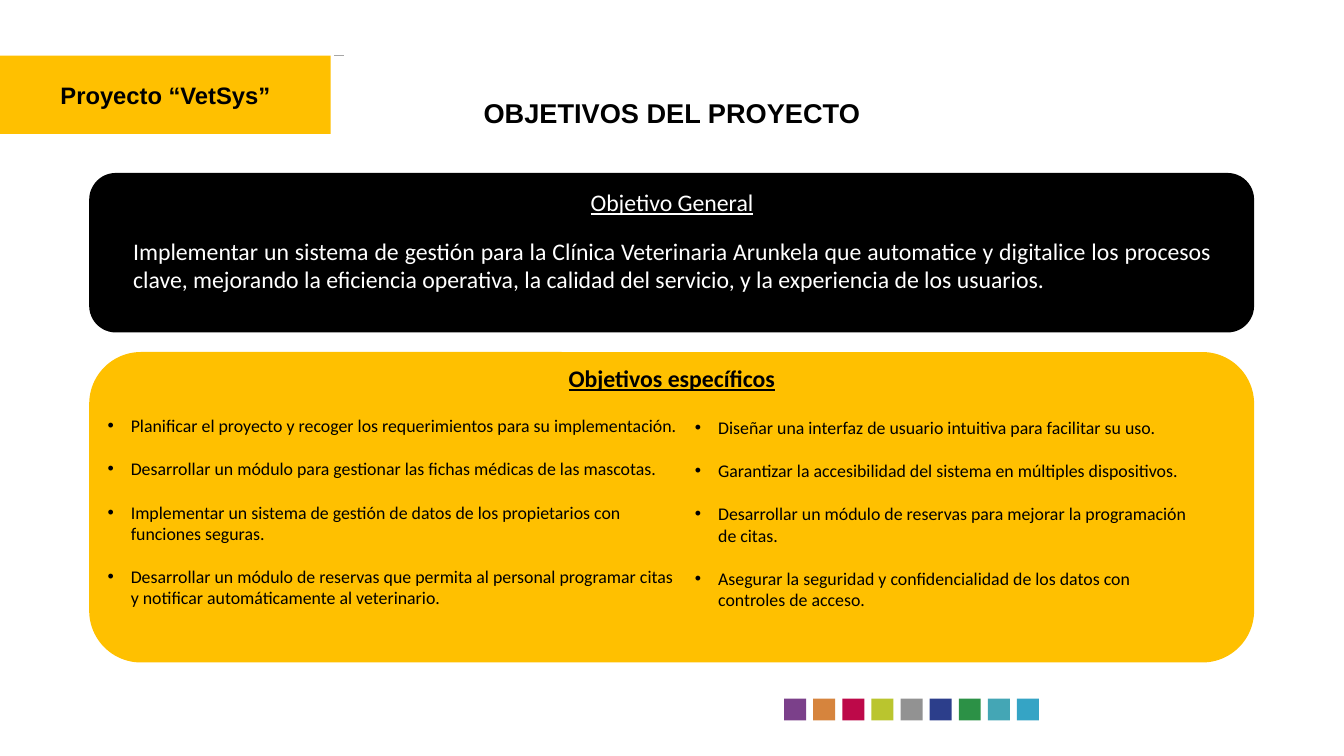
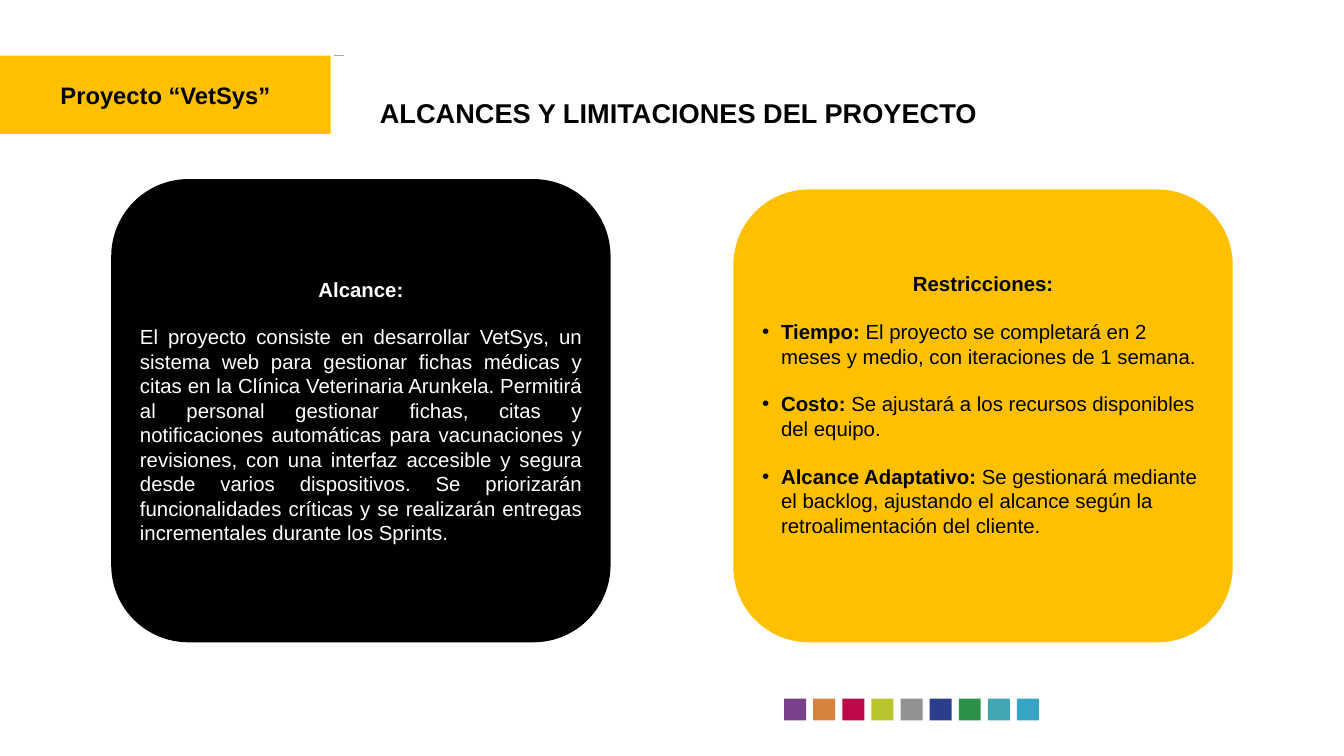
from dataclasses import dataclass

from lxml import etree
from pptx import Presentation
from pptx.dml.color import RGBColor
from pptx.enum import shapes, text
from pptx.oxml import ns
from pptx.util import Inches, Pt

ALIGN = text.PP_ALIGN
ANCHOR = text.MSO_ANCHOR


@dataclass(frozen=True)
class Theme:
    black: str = "000000"
    white: str = "FFFFFF"
    amber: str = "FFC000"
    hairline: str = "A6A6A6"
    swatches: tuple = ("7B408A", "D6843D", "BD0949", "BAC52E", "929292",
                       "2C3E8B", "2C9146", "44A6B5", "35A4C5")
    sans: str = "Arial"
    text_font: str = "Calibri"
    title: int = 32
    heading: int = 28
    card: int = 24
    items: int = 21
    card_gap: float = 27.6
    items_gap: float = 25.6


T = Theme()


@dataclass(frozen=True)
class Style:
    font: str
    size: int
    color: str
    bold: bool = False
    underline: bool = False


@dataclass(frozen=True)
class Para:
    runs: list
    align: ALIGN = ALIGN.LEFT
    before: float = 0
    indent: float = 0


def place(sp, x, y, w, h):
    sp.left, sp.top, sp.width, sp.height = map(Inches, (x, y, w, h))


def set_bullet(p, indent):
    pPr = p._p.get_or_add_pPr()
    pPr.set("marL", str(Inches(indent)))
    pPr.set("indent", str(-Inches(indent)))
    if indent:
        font = etree.SubElement(pPr, ns.qn("a:buFont"))
        font.set("typeface", T.sans)
        etree.SubElement(pPr, ns.qn("a:buChar")).set("char", "•")
    else:
        etree.SubElement(pPr, ns.qn("a:buNone"))


def write(sp, paras, anchor=ANCHOR.TOP):
    tf = sp.text_frame
    tf.word_wrap = True
    tf.auto_size = text.MSO_AUTO_SIZE.NONE
    tf.vertical_anchor = anchor
    for i, para in enumerate(paras):
        p = tf.paragraphs[0] if i == 0 else tf.add_paragraph()
        set_bullet(p, para.indent)
        p.alignment = para.align
        p.space_before = Pt(para.before)
        for content, style in para.runs:
            r = p.add_run()
            r.text = content
            r.font.name = style.font
            r.font.size = Pt(style.size)
            r.font.bold = style.bold
            r.font.underline = style.underline
            r.font.color.rgb = RGBColor.from_string(style.color)


def block(slide, kind, box, fill):
    sp = slide.shapes.add_shape(kind, *map(Inches, box))
    sp.shadow.inherit = False
    sp.fill.solid()
    sp.fill.fore_color.rgb = RGBColor.from_string(fill)
    sp.line.fill.background()
    return sp


def card(slide, box, fill):
    return block(slide, shapes.MSO_SHAPE.ROUNDED_RECTANGLE, box, fill)


def text_box(slide, box, paras):
    write(slide.shapes.add_textbox(*map(Inches, box)), paras)


def body(slide, idx, box, paras, anchor=ANCHOR.TOP):
    sp = slide.placeholders[idx]
    place(sp, *box)
    write(sp, paras, anchor)
    sp.element.getparent().append(sp.element)


def project_tag(slide, x, y, w, h):
    sp = block(slide, shapes.MSO_SHAPE.RECTANGLE, (x, y, w, h), T.amber)
    style = Style(T.sans, T.heading, T.black, bold=True)
    write(sp, [Para([("Proyecto “VetSys”", style)], ALIGN.CENTER)], ANCHOR.MIDDLE)
    start = x + w + 0.06
    line = slide.shapes.add_connector(
        shapes.MSO_CONNECTOR.STRAIGHT,
        *map(Inches, (start, y, start + 0.16, y)))
    line.line.width = Pt(0.5)
    line.line.color.rgb = RGBColor.from_string(T.hairline)
    etree.SubElement(line.element.spPr, ns.qn("a:effectLst"))


def swatch_row(slide, x, y, w, size):
    pitch = (w - size) / (len(T.swatches) - 1)
    for i, color in enumerate(T.swatches):
        block(slide, shapes.MSO_SHAPE.RECTANGLE,
              (x + i * pitch, y, size, size), color)


def new_slide(prs, title, align):
    slide = prs.slides.add_slide(prs.slide_layouts[3])
    project_tag(slide, 0, 0.91, 5.41, 1.28)
    swatch_row(slide, 12.83, 11.43, 4.17, 0.36)
    sp = slide.shapes.title
    place(sp, 5.9, 1.53, 10.19, 0.64)
    style = Style(T.sans, T.title, T.black, bold=True)
    write(sp, [Para([(title, style)], align)])
    return slide


def general_goal(slide, x, y, w, h):
    card(slide, (x, y, w, h), T.black)
    head = Style(T.text_font, T.heading, T.white, underline=True)
    plain = Style(T.text_font, T.heading, T.white)
    text_box(slide, (x + 0.62, y + 0.2, w - 1.23, h - 0.4), [
        Para([("Objetivo General", head)], ALIGN.CENTER),
        Para([("Implementar un sistema de gestión para la Clínica Veterinaria "
               "Arunkela que automatice y digitalice los procesos clave, "
               "mejorando la eficiencia operativa, la calidad del servicio, y "
               "la experiencia de los usuarios.", plain)],
             ALIGN.JUSTIFY, before=23),
    ])


def specific_goals(slide, x, y, w, h):
    card(slide, (x, y, w, h), T.amber)
    head = Style(T.text_font, T.heading, T.black, bold=True, underline=True)
    text_box(slide, (x + 3.48, y + 0.14, w - 6.96, 0.57),
             [Para([("Objetivos específicos", head)], ALIGN.CENTER)])
    plain = Style(T.text_font, T.items, T.black)
    columns = [
        (1, (x + 0.2, y + 0.98, 9.58, 3.64), [
            "Planificar el proyecto y recoger los requerimientos para su "
            "implementación.",
            "Desarrollar un módulo para gestionar las fichas médicas de las "
            "mascotas.",
            "Implementar un sistema de gestión de datos de los propietarios "
            "con funciones seguras.",
            "Desarrollar un módulo de reservas que permita al personal "
            "programar citas y notificar automáticamente al veterinario.",
        ]),
        (2, (x + 9.81, y + 1.01, 8.39, 3.64), [
            "Diseñar una interfaz de usuario intuitiva para facilitar su uso.",
            "Garantizar la accesibilidad del sistema en múltiples dispositivos.",
            "Desarrollar un módulo de reservas para mejorar la programación "
            "de citas.",
            "Asegurar la seguridad y confidencialidad de los datos con "
            "controles de acceso.",
        ]),
    ]
    for idx, box, items in columns:
        body(slide, idx, box, [
            Para([(item, plain)], before=T.items_gap if i else 0, indent=0.38)
            for i, item in enumerate(items)])


def scope_card(slide, x, y, w, h):
    card(slide, (x, y, w, h), T.black)
    bold = Style(T.sans, T.card, T.white, bold=True)
    plain = Style(T.sans, T.card, T.white)
    body(slide, 1, (x + 0.37, y, w - 0.74, h), [
        Para([("Alcance:", bold)], ALIGN.CENTER),
        Para([("El proyecto consiste en desarrollar VetSys, un sistema web "
               "para gestionar fichas médicas y citas en la Clínica "
               "Veterinaria Arunkela. Permitirá al personal gestionar fichas, "
               "citas y notificaciones automáticas para vacunaciones y "
               "revisiones, con una interfaz accesible y segura desde varios "
               "dispositivos. Se priorizarán funcionalidades críticas y se "
               "realizarán entregas incrementales durante los Sprints.", plain)],
             ALIGN.JUSTIFY, before=T.card_gap),
    ], ANCHOR.MIDDLE)


def limits_card(slide, x, y, w, h):
    card(slide, (x, y, w, h), T.amber)
    bold = Style(T.sans, T.card, T.black, bold=True)
    plain = Style(T.sans, T.card, T.black)
    limits = [
        ("Tiempo: ", "El proyecto se completará en 2 meses y medio, con "
                     "iteraciones de 1 semana."),
        ("Costo: ", "Se ajustará a los recursos disponibles del equipo."),
        ("Alcance Adaptativo: ", "Se gestionará mediante el backlog, ajustando "
                                 "el alcance según la retroalimentación del "
                                 "cliente."),
    ]
    paras = [Para([("Restricciones:", bold)], ALIGN.CENTER)]
    paras += [Para([(name, bold), (detail, plain)], before=T.card_gap, indent=0.31)
              for name, detail in limits]
    body(slide, 2, (x + 0.37, y, w - 0.74, h - 0.38), paras, ANCHOR.MIDDLE)


def goals_slide(prs):
    slide = new_slide(prs, "OBJETIVOS DEL PROYECTO", ALIGN.CENTER)
    general_goal(slide, 1.46, 2.83, 19.06, 2.61)
    specific_goals(slide, 1.46, 5.76, 19.06, 5.08)


def scope_slide(prs):
    slide = new_slide(prs, "ALCANCES Y LIMITACIONES DEL PROYECTO", ALIGN.RIGHT)
    scope_card(slide, 1.82, 2.93, 8.17, 7.58)
    limits_card(slide, 12, 3.1, 8.17, 7.41)


def main():
    prs = Presentation()
    prs.slide_width, prs.slide_height = Inches(21.99), Inches(12.37)
    goals_slide(prs)
    scope_slide(prs)
    prs.save("out.pptx")


if __name__ == "__main__":
    main()
